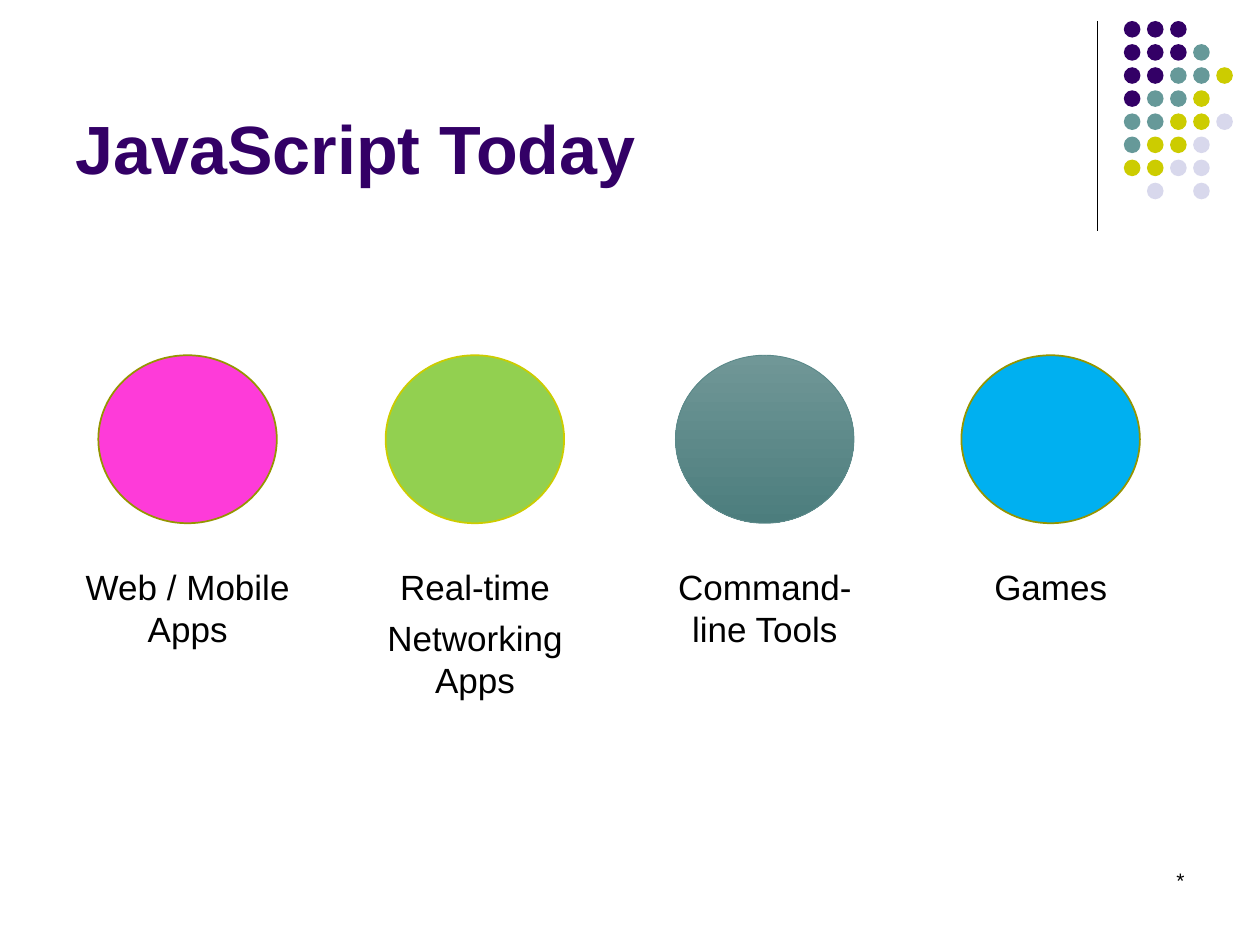
from dataclasses import dataclass

from lxml import etree
from pptx import Presentation
from pptx.dml.color import RGBColor
from pptx.enum import shapes, text
from pptx.oxml import ns
from pptx.util import Pt


@dataclass(frozen=True)
class Theme:
    font: str = "Arial"
    title_size: float = 39
    caption_size: float = 20
    footer_size: float = 12
    purple: str = "330066"
    teal: str = "669999"
    olive: str = "CCCC00"
    lavender: str = "D8D8EC"
    black: str = "000000"
    pink: str = "FE3BD9"
    green: str = "92D050"
    blue: str = "00B0F0"
    dark_olive: str = "959500"
    teal_top: str = "709797"
    teal_bottom: str = "4C7D7D"
    teal_edge: str = "5B8989"


THEME = Theme()

# Each letter is a dot colour; a space is an empty place in the grid
DOT_ROWS = ["PPP", "PPPT", "PPTTO", "PTTO", "TTOOL", "TOOL", "OOLL", " L L"]
DOT_COLORS = {"P": THEME.purple, "T": THEME.teal, "O": THEME.olive, "L": THEME.lavender}
DOT_LEFT, DOT_TOP, DOT_PITCH, DOT_SIZE = 642.2, 12, 13.2, 9.5

# Column left, fill colours, outline colour, outline width, caption paragraphs
TOPICS = [
    (36, [THEME.pink], THEME.dark_olive, 1, ["Web / Mobile Apps"]),
    (200.2, [THEME.green], THEME.olive, 1, ["Real-time", "Networking Apps"]),
    (365.8, [THEME.teal_top, THEME.teal_bottom], THEME.teal_edge, 0.5,
     ["Command-line Tools"]),
    (529.2, [THEME.blue], THEME.dark_olive, 1, ["Games"]),
]
CIRCLE_INSET = 20.2


def rgb(value):
    return RGBColor.from_string(value)


def place(shape, left, top, width, height):
    shape.left, shape.top = Pt(left), Pt(top)
    shape.width, shape.height = Pt(width), Pt(height)


def write(frame, lines, size, color, align, bold=False, before=0):
    frame.word_wrap = True
    frame.auto_size = text.MSO_AUTO_SIZE.NONE
    for index, line in enumerate(lines):
        paragraph = frame.add_paragraph() if index else frame.paragraphs[0]
        paragraph.alignment = align
        paragraph.space_before = Pt(before)
        run = paragraph.add_run()
        run.text = line
        run.font.name = THEME.font
        run.font.size = Pt(size)
        run.font.bold = bold
        run.font.color.rgb = rgb(color)


def add_title(slide, words):
    title = slide.shapes.title
    place(title, 36, 9.4, 594, 102)
    title.text_frame.vertical_anchor = text.MSO_ANCHOR.BOTTOM
    write(title.text_frame, [words], THEME.title_size, THEME.purple,
          text.PP_ALIGN.LEFT, bold=True)


def add_text(slide, box, lines, size, align, before=0):
    shape = slide.shapes.add_textbox(*map(Pt, box))
    write(shape.text_frame, lines, size, THEME.black, align, before=before)


def add_ellipse(parent, box, colors, edge=None, edge_width=0):
    ellipse = parent.shapes.add_shape(shapes.MSO_SHAPE.OVAL, *map(Pt, box))
    ellipse.shadow.inherit = False
    if len(colors) == 1:
        ellipse.fill.solid()
        ellipse.fill.fore_color.rgb = rgb(colors[0])
    else:
        ellipse.fill.gradient()
        ellipse.fill.gradient_angle = 270
        for stop, color in zip(ellipse.fill.gradient_stops, colors):
            stop.color.rgb = rgb(color)
    if edge:
        ellipse.line.color.rgb = rgb(edge)
        ellipse.line.width = Pt(edge_width)
    else:
        ellipse.line.fill.background()


def add_rule(slide, x, top, bottom):
    rule = slide.shapes.add_connector(
        shapes.MSO_CONNECTOR.STRAIGHT, Pt(x), Pt(top), Pt(x), Pt(bottom))
    rule.line.color.rgb = rgb(THEME.black)
    rule.line.width = Pt(0.75)
    etree.SubElement(rule._element.spPr, ns.qn("a:effectLst"))


def add_dot_grid(slide):
    group = slide.shapes.add_group_shape()
    for row, letters in enumerate(DOT_ROWS):
        for column, letter in enumerate(letters):
            if letter in DOT_COLORS:
                box = (DOT_LEFT + column * DOT_PITCH, DOT_TOP + row * DOT_PITCH,
                       DOT_SIZE, DOT_SIZE)
                add_ellipse(group, box, [DOT_COLORS[letter]])


def main():
    presentation = Presentation()
    presentation.slide_width, presentation.slide_height = Pt(720), Pt(540)
    slide = presentation.slides.add_slide(presentation.slide_layouts[5])

    # Corner decoration
    add_rule(slide, 627, 12, 132)
    add_dot_grid(slide)

    # Title and footer mark
    add_title(slide, "JavaScript Today")
    add_text(slide, (516, 492, 168, 36), ["*"], THEME.footer_size, text.PP_ALIGN.RIGHT)

    # Topic circles with captions
    for left, colors, edge, edge_width, caption in TOPICS:
        add_ellipse(slide, (left + CIRCLE_INSET, 203, 102, 96), colors, edge, edge_width)
        add_text(slide, (left, 319.7, 142.5, 75), caption, THEME.caption_size,
                 text.PP_ALIGN.CENTER, before=5)

    presentation.save("out.pptx")


if __name__ == "__main__":
    main()
